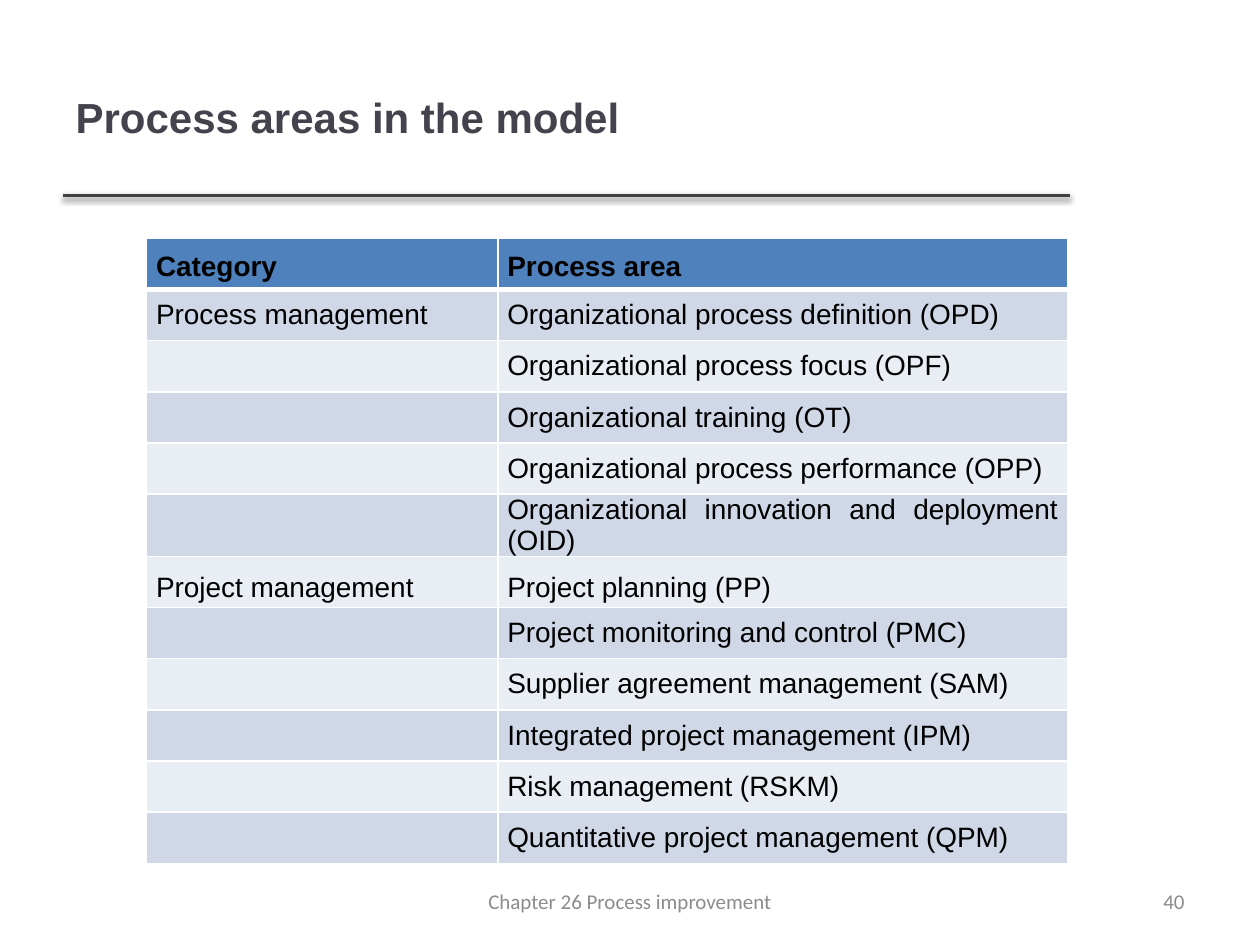
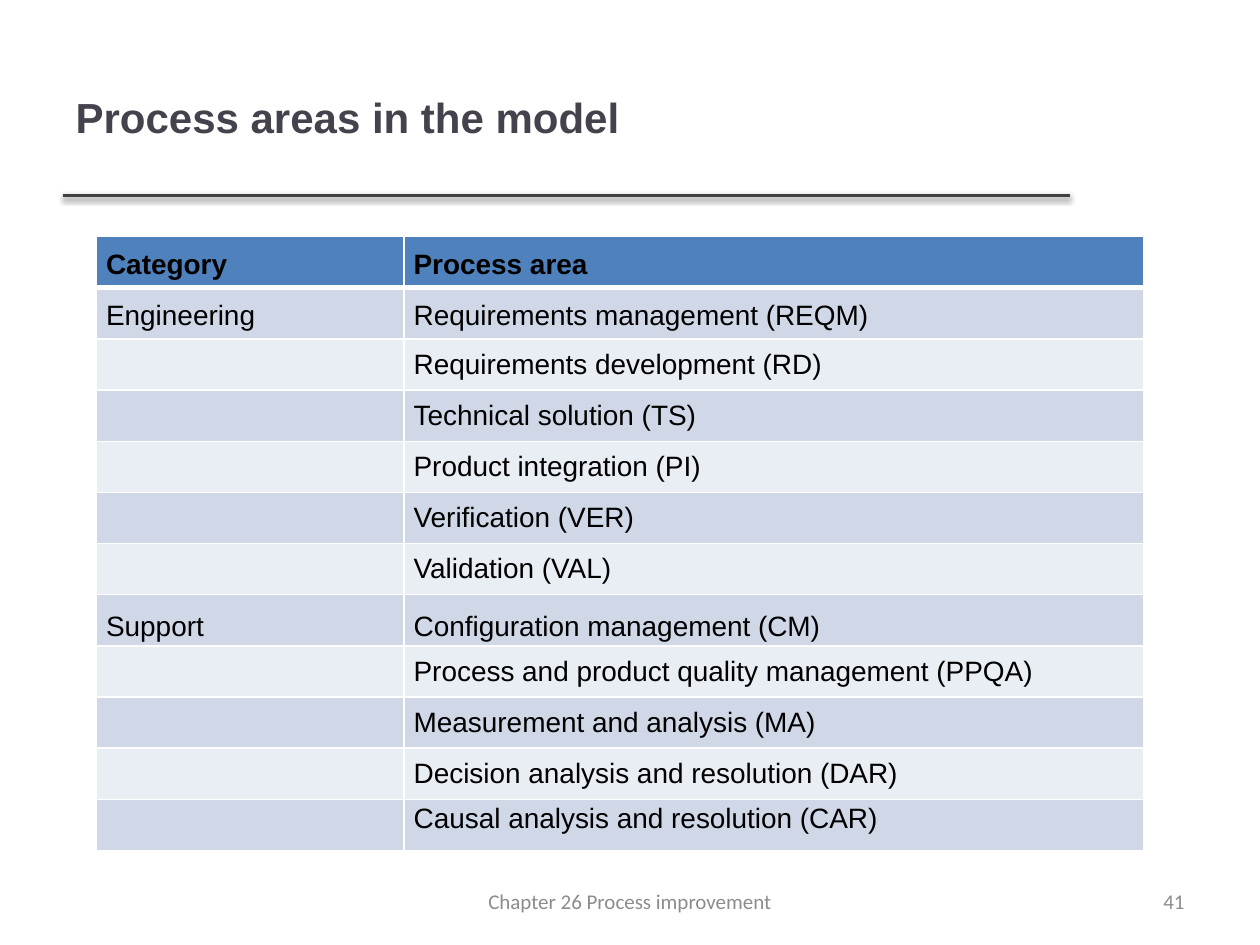
from dataclasses import dataclass

from lxml import etree
from pptx import Presentation
from pptx import util as u
from pptx.dml import color
from pptx.enum import shapes, text
from pptx.oxml import ns
from pptx.slide import Slide

Pt = u.Pt
WHITE, INK, RULE, GREY = "FFFFFF", "46424D", "404040", "8C8C8C"
HEAD, BANDS = "4F81BD", ("D0D8E8", "E9EDF4")
HIGH = 29.25  # row height
LEFT, MID, RIGHT, FULL = (text.PP_ALIGN.LEFT, text.PP_ALIGN.CENTER,
                          text.PP_ALIGN.RIGHT, text.PP_ALIGN.JUSTIFY)


@dataclass
class Row:
    area: str
    group: str = ""
    top: float = 0
    base: float = 0
    mid: bool = True


@dataclass
class Page:
    num: int
    left: float
    top: float
    cols: tuple[float, float]
    rows: list[Row]


@dataclass
class Font:
    name: str
    size: float
    ink: str
    bold: bool = False


TITLE = Font("Arial", 24, INK, True)
HEADER = Font("Arial", 16, "000000", True)
BODY = Font("Arial", 16, "000000")
FOOT = Font("Calibri", 12, GREY)

PAGES = [
    Page(40, 83.75, 136.25, (200.75, 325.5), [
        Row("Organizational process definition (OPD)", "Process management"),
        Row("Organizational process focus (OPF)"),
        Row("Organizational training (OT)"),
        Row("Organizational process performance (OPP)"),
        Row("Organizational innovation and deployment (OID)"),
        Row("Project planning (PP)", "Project management", top=7.2),
        Row("Project monitoring and control (PMC)"),
        Row("Supplier agreement management (SAM)"),
        Row("Integrated project management (IPM)"),
        Row("Risk management (RSKM)"),
        Row("Quantitative project management (QPM)"),
    ]),
    Page(41, 55.25, 135.25, (175.75, 422.5), [
        Row("Requirements management (REQM)", "Engineering", top=7.2, mid=False),
        Row("Requirements development (RD)"),
        Row("Technical solution (TS)"),
        Row("Product integration (PI)"),
        Row("Verification (VER)"),
        Row("Validation (VAL)"),
        Row("Configuration management (CM)", "Support", top=7.2),
        Row("Process and product quality management (PPQA)"),
        Row("Measurement and analysis (MA)"),
        Row("Decision analysis and resolution (DAR)"),
        Row("Causal analysis and resolution (CAR)", base=7.2),
    ]),
]


def rgb(code: str) -> color.RGBColor:
    return color.RGBColor.from_string(code)


def node(up, tag: str, **attrs):
    return etree.SubElement(up, ns.qn(tag), {k: str(v) for k, v in attrs.items()})


def write(frame, words: str, font: Font, align) -> None:
    para = frame.paragraphs[0]
    para.alignment = align
    if not words:
        para.font.size = Pt(font.size)
        return
    run = para.add_run()
    run.text = words
    run.font.name, run.font.size = font.name, Pt(font.size)
    run.font.bold = font.bold
    run.font.color.rgb = rgb(font.ink)


def title(slide: Slide, words: str) -> None:
    box = slide.shapes.title
    box.left, box.top, box.width, box.height = Pt(36), Pt(21.6), Pt(574.75), Pt(90)
    box.text_frame.vertical_anchor = text.MSO_ANCHOR.MIDDLE
    write(box.text_frame, words, TITLE, LEFT)


def rule(slide: Slide) -> None:
    line = slide.shapes.add_connector(
        shapes.MSO_CONNECTOR.STRAIGHT, Pt(36), Pt(111.6), Pt(611.3), Pt(111.6))
    line.line.color.rgb = rgb(RULE)
    line.line.width = Pt(2)
    glow = node(node(line._element.spPr, "a:effectLst"), "a:outerShdw",
                blurRad=Pt(3.1), dist=Pt(1.6), dir=5400000, rotWithShape=0)
    node(node(glow, "a:srgbClr", val="000000"), "a:alpha", val=38000)


def foot(slide: Slide, words: str, left: float, width: float, align) -> None:
    box = slide.shapes.add_textbox(Pt(left), Pt(500.5), Pt(width), Pt(28.75))
    box.text_frame.word_wrap = True
    box.text_frame.vertical_anchor = text.MSO_ANCHOR.MIDDLE
    write(box.text_frame, words, FOOT, align)


def edge(cell, over: float, under: float) -> None:
    """Draw white borders, with given widths above and below."""
    props = cell._tc.get_or_add_tcPr()
    for side, wide in zip("LRTB", (1, 1, over, under)):
        line = node(props, f"a:ln{side}", w=Pt(wide))
        node(node(line, "a:solidFill"), "a:srgbClr", val=WHITE)


def grid(slide: Slide, page: Page) -> None:
    rows = [Row("Process area", "Category", top=7.2, mid=False), *page.rows]
    table = slide.shapes.add_table(
        len(rows), 2, Pt(page.left), Pt(page.top),
        Pt(sum(page.cols)), Pt(HIGH * len(rows))).table
    for col, width in zip(table.columns, page.cols):
        col.width = Pt(width)
    for i, row in enumerate(rows):
        table.rows[i].height = Pt(HIGH)
        for cell, words in zip(table.rows[i].cells, (row.group, row.area)):
            edge(cell, 3 if i == 1 else 1, 1 if i else 3)
            cell.fill.solid()
            cell.fill.fore_color.rgb = rgb(BANDS[(i - 1) % 2] if i else HEAD)
            cell.margin_left = cell.margin_right = Pt(5.4)
            cell.margin_top, cell.margin_bottom = Pt(row.top), Pt(row.base)
            cell.vertical_anchor = (text.MSO_ANCHOR.MIDDLE if row.mid
                                    else text.MSO_ANCHOR.TOP)
            write(cell.text_frame, words, BODY if i else HEADER, FULL)


def main() -> None:
    deck = Presentation()
    deck.slide_width, deck.slide_height = Pt(720), Pt(540)
    for page in PAGES:
        slide = deck.slides.add_slide(deck.slide_layouts[5])
        rule(slide)
        title(slide, "Process areas in the model")
        grid(slide, page)
        foot(slide, str(page.num), 516, 168, RIGHT)
        foot(slide, "Chapter 26 Process improvement", 246, 228, MID)
    deck.save("out.pptx")


if __name__ == "__main__":
    main()
